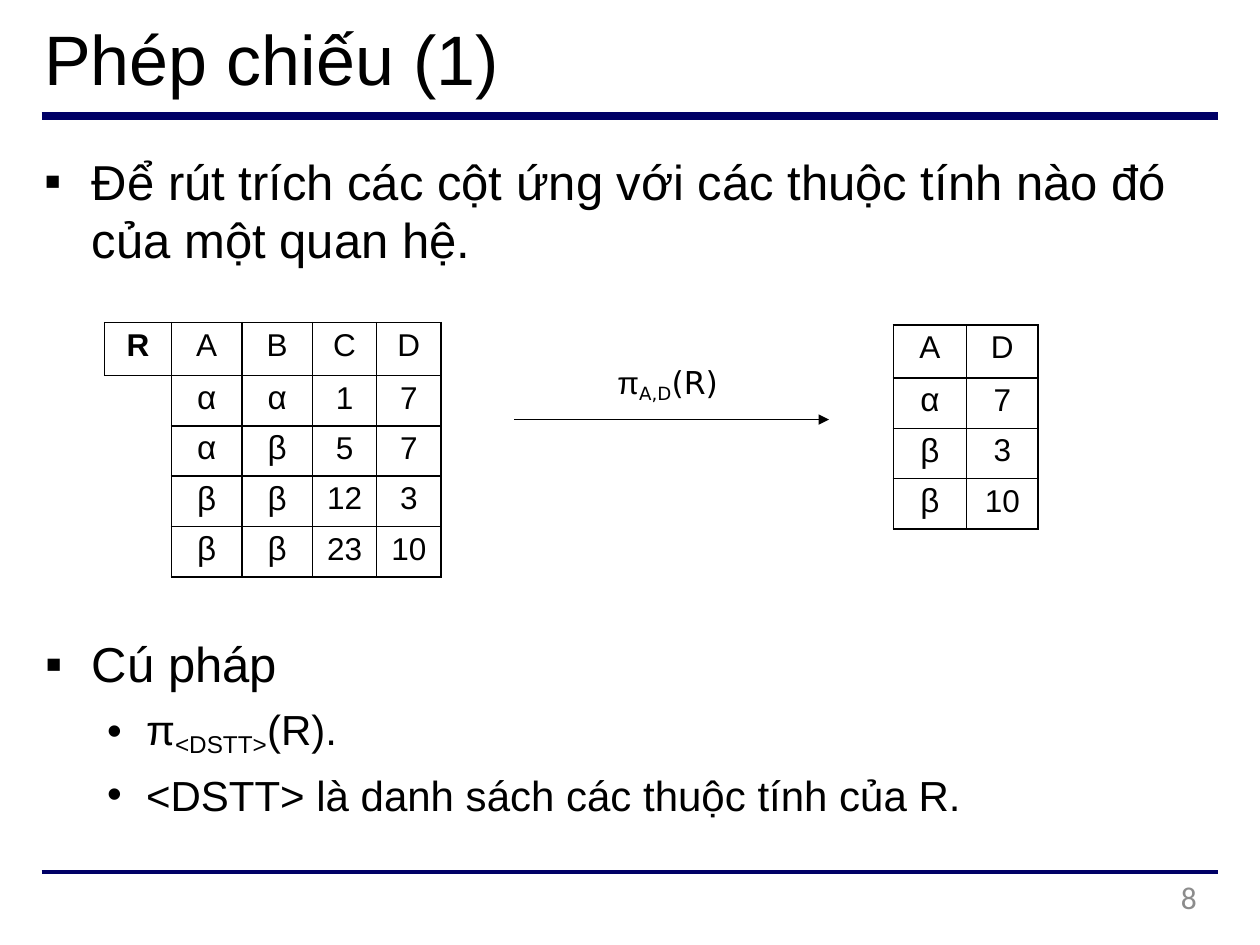
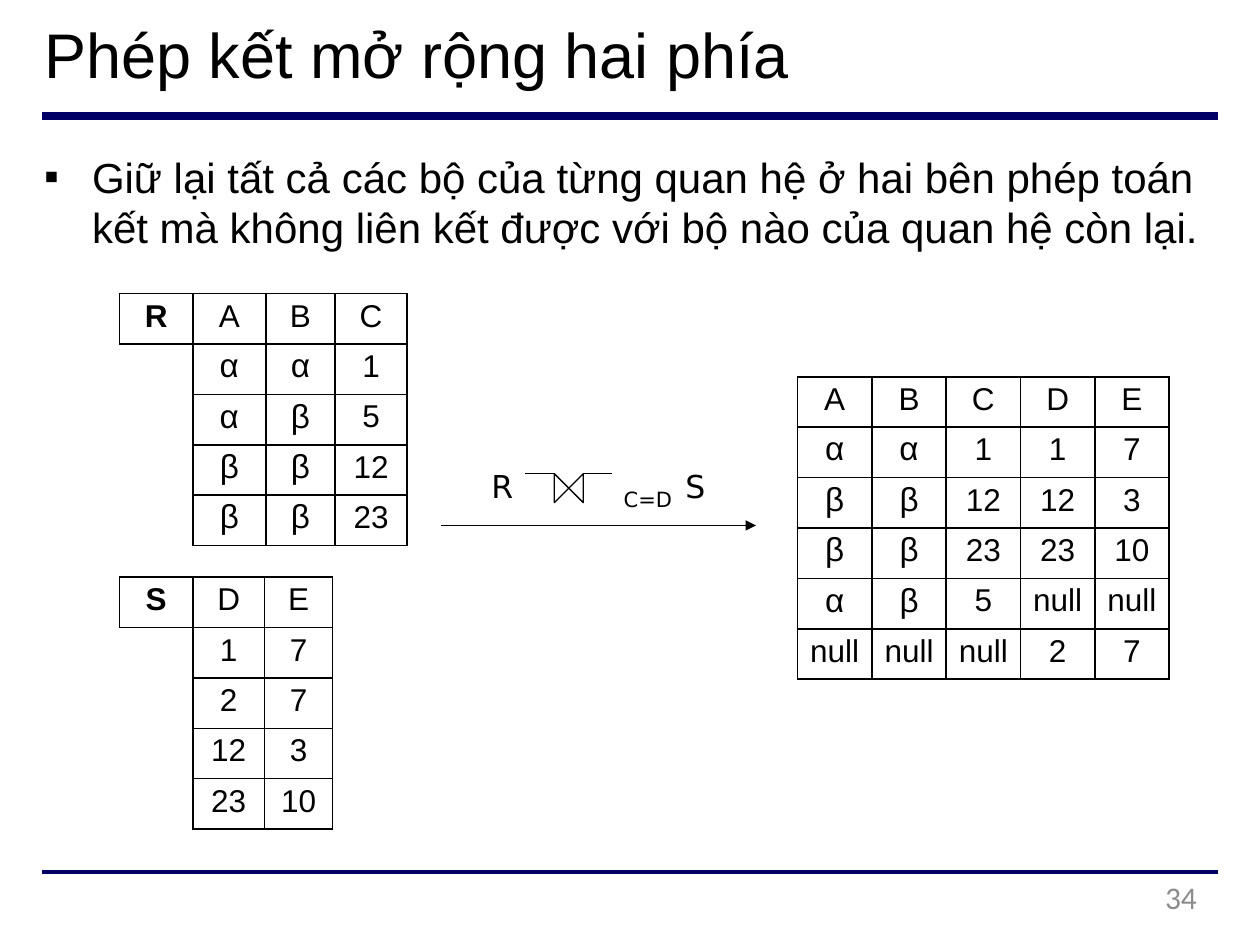
from lxml import etree
from pptx import Presentation
from pptx.dml.color import RGBColor
from pptx.enum.shapes import MSO_CONNECTOR
from pptx.enum.text import MSO_ANCHOR, MSO_AUTO_SIZE, PP_ALIGN
from pptx.oxml.ns import qn
from pptx.util import Inches, Pt

STRAIGHT = MSO_CONNECTOR.STRAIGHT
TOP = MSO_ANCHOR.TOP
NO_FIT = MSO_AUTO_SIZE.NONE
LEFT, CENTER, RIGHT = PP_ALIGN.LEFT, PP_ALIGN.CENTER, PP_ALIGN.RIGHT

COLORS = {"ink": "000000", "band": "000066", "number": "8C8C8C"}
SANS, MATH, FOOT = "Arial", "DejaVu Sans", "Calibri"
ROW_HEIGHT = 0.4
SUB = {"baseline": -21000}
SQUARE = {"bullet": "▪", "indent": (0.39, -0.38)}
SUB_ITEM = {"bullet": "•", "indent": (0.85, -0.31), "size": 24, "before": 6}

SLIDES = [
    {
        "title": ("Phép chiếu (1)", 40),
        "number": "8",
        "texts": [
            ((0.34, 1.19, 8.94, 0.96), 0.01, [
                ("Để rút trích các cột ứng với các thuộc tính nào đó của một quan hệ.",
                 {**SQUARE, "size": 28})]),
            ((0.31, 4.93, 7.36, 1.55), 0.1, [
                ("Cú pháp", {**SQUARE, "indent": (0.42, -0.37), "size": 28}),
                (["π", ("<DSTT>", SUB), "(R)."], SUB_ITEM),
                ("<DSTT> là danh sách các thuộc tính của R.", SUB_ITEM)]),
            ((4.86, 2.87, 0.92, 0.33), 0.01, [
                (["π", ("A,D", {**SUB, "font": MATH}), ("(R)", {"font": MATH})],
                 {"indent": (0.04, 0)})]),
        ],
        "tables": [
            {"at": (0.83, 2.56), "name": "R", "cols": [0.53, 0.56, 0.56, 0.51, 0.51],
             "head_height": 0.42,
             "rows": ["A B C D", "α α 1 7", "α β 5 7", "β β 12 3", "β β 23 10"]},
            {"at": (7.09, 2.58), "cols": [0.58, 0.57], "head_height": 0.42,
             "rows": ["A D", "α 7", "β 3", "β 10"]},
        ],
        "arrow": (4.08, 3.33),
    },
    {
        "title": ("Phép kết mở rộng hai phía", 36),
        "number": "34",
        "texts": [
            ((0.34, 1.19, 9.18, 0.83), 0.01, [
                ("Giữ lại tất cả các bộ của từng quan hệ ở hai bên phép toán kết mà "
                 "không liên kết được với bộ nào của quan hệ còn lại.",
                 {**SQUARE, "size": 24})]),
            ((4.95, 3.85, 0.41, 0.23), 0.01, [("C=D", {"font": MATH, "size": 12})]),
            ((3.9, 3.7, 0.2, 0.33), 0.01, [("R", {"font": MATH})]),
            ((5.44, 3.7, 0.2, 0.33), 0.01, [("S", {"font": MATH})]),
        ],
        "tables": [
            {"at": (0.95, 2.33), "name": "R", "cols": [0.58, 0.58, 0.55, 0.57],
             "rows": ["A B C", "α α 1", "α β 5", "β β 12", "β β 23"]},
            {"at": (0.95, 4.58), "name": "S", "cols": [0.58, 0.57, 0.54],
             "rows": ["D E", "1 7", "2 7", "12 3", "23 10"]},
            {"at": (6.33, 2.99), "cols": [0.59] * 5,
             "rows": ["A B C D E", "α α 1 1 7", "β β 12 12 3", "β β 23 23 10",
                      "α β 5 null null", "null null null 2 7"]},
        ],
        "arrow": (3.5, 4.17),
        "join": (4.4, 3.76),
    },
]


def rgb(name):
    return RGBColor.from_string(COLORS[name])


def add_runs(p, runs, font, size, bold, color):
    for run in [runs] if isinstance(runs, str) else runs:
        text, extra = (run, {}) if isinstance(run, str) else run
        r = p.add_run()
        r.text = text
        r.font.name = extra.get("font", font)
        r.font.size = Pt(size)
        r.font.bold = bold
        r.font.color.rgb = rgb(color)
        if "baseline" in extra:
            r.font._element.set("baseline", str(extra["baseline"]))


def write(tf, runs, first=True, font=SANS, size=18, bold=False, color="ink",
          align=LEFT, bullet=None, indent=(0, 0), before=0):
    p = tf.paragraphs[0] if first else tf.add_paragraph()
    pPr = p._p.get_or_add_pPr()
    pPr.set("marL", str(Inches(indent[0])))
    pPr.set("indent", str(Inches(indent[1])))
    if bullet:
        etree.SubElement(pPr, qn("a:buFont"), typeface=SANS)
        etree.SubElement(pPr, qn("a:buChar"), char=bullet)
    p.alignment = align
    p.space_before = Pt(before)
    add_runs(p, runs, font, size, bold, color)


def set_frame(tf, top=0.01):
    tf.word_wrap = True
    tf.auto_size = NO_FIT
    tf.vertical_anchor = TOP
    tf.margin_left = tf.margin_right = tf.margin_bottom = 0
    tf.margin_top = Inches(top)


def add_text(slide, box, top, paragraphs):
    sp = slide.shapes.add_textbox(*map(Inches, box))
    set_frame(sp.text_frame, top)
    for i, (runs, fmt) in enumerate(paragraphs):
        write(sp.text_frame, runs, first=i == 0, **fmt)


def add_line(slide, x1, y1, x2, y2, width, color="ink", arrow=False):
    sp = slide.shapes.add_connector(STRAIGHT, *map(Inches, (x1, y1, x2, y2)))
    sp.line.color.rgb = rgb(color)
    sp.line.width = Pt(width)
    if arrow:
        etree.SubElement(sp.line._get_or_add_ln(), qn("a:tailEnd"),
                         type="triangle", w="med", len="med")
    etree.SubElement(sp._element.spPr, qn("a:effectLst"))


def set_borders(cell, sides):
    tcPr = cell._tc.get_or_add_tcPr()
    for side in "LRTB":
        ln = etree.SubElement(tcPr, qn(f"a:ln{side}"), w=str(Pt(1)))
        if side in sides:
            fill = etree.SubElement(ln, qn("a:solidFill"))
            etree.SubElement(fill, qn("a:srgbClr"), val=COLORS["ink"])
        else:
            etree.SubElement(ln, qn("a:noFill"))


def add_relation(slide, at, cols, rows, name=None, head_height=ROW_HEIGHT):
    grid = [row.split() for row in rows]
    if name:
        grid = [[name if i == 0 else ""] + row for i, row in enumerate(grid)]
    heights = [head_height] + [ROW_HEIGHT] * (len(grid) - 1)
    frame = slide.shapes.add_table(len(grid), len(cols), *map(
        Inches, (*at, sum(cols), sum(heights))))
    table = frame.table
    table.first_row = table.horz_banding = False
    for col, width in zip(table.columns, cols):
        col.width = Inches(width)
    for i, row in enumerate(grid):
        table.rows[i].height = Inches(heights[i])
        for j, value in enumerate(row):
            cell = table.cell(i, j)
            greek = value in ("α", "β")
            cell.margin_left = cell.margin_right = cell.margin_bottom = 0
            cell.margin_top = Inches(0.03 if greek else 0.04)
            set_borders(cell, "LRTB" if value else "TR")
            cell.fill.background()
            if value:
                write(cell.text_frame, value, size=19 if greek else 18,
                      bold=value == name, align=CENTER)
    if name:
        table.cell(1, 0).merge(table.cell(len(grid) - 1, 0))


def add_join_sign(slide, x, y, side=0.23):
    right, bottom, middle = x + side, y + side, (x + side / 2, y + side / 2)
    outline = [(right, y), middle, (x, y), (x, bottom), middle, (right, bottom)]
    points = [(Inches(px), Inches(py)) for px, py in outline]
    builder = slide.shapes.build_freeform(*points[-1], scale=1.0)
    builder.add_line_segments(points[:-1], close=True)
    sp = builder.convert_to_shape()
    sp.shadow.inherit = False
    sp.fill.background()
    sp.line.color.rgb = rgb("ink")
    sp.line.width = Pt(0.75)
    for start in (x - side, right):
        add_line(slide, start, y, start + side, y, 0.75)


def add_base(prs, title, size, number):
    slide = prs.slides.add_slide(prs.slide_layouts[5])
    for y, width in ((0.92, 4.5), (6.92, 2.25)):
        add_line(slide, 0.33, y, 9.67, y, width, "band")
    sp = slide.shapes.title
    sp.left, sp.top, sp.width, sp.height = map(Inches, (0.34, 0.11, 8.34, 0.69))
    set_frame(sp.text_frame)
    write(sp.text_frame, title, size=size, indent=(0.01, 0))
    add_text(slide, (7.2, 6.97, 2.3, 0.38), 0, [
        (number, {"font": FOOT, "color": "number", "align": RIGHT})])
    return slide


def main():
    prs = Presentation()
    prs.slide_width, prs.slide_height = Inches(10), Inches(7.5)
    for content in SLIDES:
        slide = add_base(prs, *content["title"], content["number"])
        for box, top, paragraphs in content["texts"]:
            add_text(slide, box, top, paragraphs)
        for relation in content["tables"]:
            add_relation(slide, **relation)
        x, y = content["arrow"]
        add_line(slide, x, y, x + 2.5, y, 1, arrow=True)
        if "join" in content:
            add_join_sign(slide, *content["join"])
    prs.save("out.pptx")


if __name__ == "__main__":
    main()
